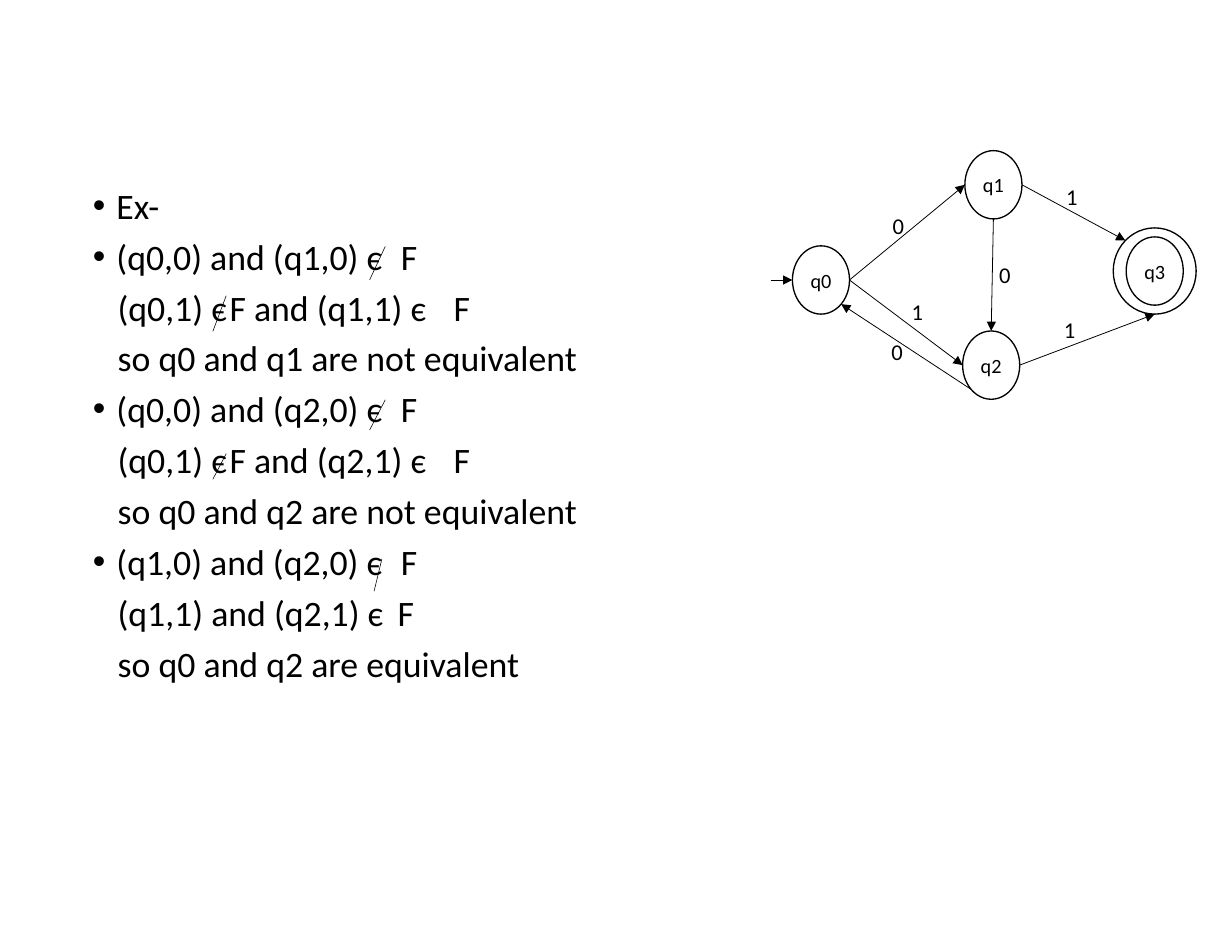
from math import cos, radians, sin
from pptx import Presentation
from pptx.dml.color import RGBColor
from pptx.enum.shapes import MSO_CONNECTOR, MSO_SHAPE
from pptx.enum.text import MSO_ANCHOR, MSO_AUTO_SIZE, PP_ALIGN
from pptx.oxml.ns import qn
from pptx.util import Inches, Pt
from lxml.etree import SubElement

BLACK = RGBColor(0, 0, 0)
FONT = "Calibri"


def write(para, text, size=13, color=BLACK, align=PP_ALIGN.LEFT, before=0):
    para.alignment = align
    para.space_before = Pt(before)
    run = para.add_run()
    run.text = text
    run.font.name = FONT
    run.font.size = Pt(size)
    run.font.color.rgb = color


def frame(shape, anchor=MSO_ANCHOR.TOP, wrap=True):
    body = shape.text_frame
    body.margin_left = body.margin_right = 0
    body.margin_top = body.margin_bottom = 0
    body.auto_size = MSO_AUTO_SIZE.NONE
    body.word_wrap = wrap
    body.vertical_anchor = anchor
    return body


def indent(para, bullet, tabs):
    props = para._p.get_or_add_pPr()
    props.set("marL", str(Inches(0.22 if bullet else 0.23)))
    props.set("indent", str(Inches(-0.21 if bullet else 0)))
    if not bullet:
        SubElement(props, qn("a:buNone"))
    if tabs:
        stops = SubElement(props, qn("a:tabLst"))
        for stop in tabs:
            SubElement(stops, qn("a:tab"), pos=str(Inches(stop)), algn="l")


def line(slide, start, end, width=0.5, arrow=False):
    link = slide.shapes.add_connector(
        MSO_CONNECTOR.STRAIGHT, *(Inches(v) for v in (*start, *end)))
    link.line.color.rgb = BLACK
    link.line.width = Pt(width)
    props = link._element.spPr
    if arrow:
        SubElement(props.find(qn("a:ln")), qn("a:tailEnd"), type="triangle")
    SubElement(props, qn("a:effectLst"))


def proof(slide, box):
    left, top, width, height = box
    holder = slide.placeholders[1]
    holder.left, holder.top = Inches(left), Inches(top)
    holder.width, holder.height = Inches(width), Inches(height)
    body = frame(holder)
    wide, split = (0.22, 2.76), (1.36, 3.28)
    rows = [
        ("Ex-", True, (0.22,)),
        ("(q0,0) and (q1,0) є\tF", True, wide),
        ("(q0,1) є\tF and (q1,1) є\tF", False, split),
        ("so q0 and q1 are not equivalent", False, ()),
        ("(q0,0) and (q2,0) є\tF", True, wide),
        ("(q0,1) є\tF and (q2,1) є\tF", False, split),
        ("so q0 and q2 are not equivalent", False, ()),
        ("(q1,0) and (q2,0) є\tF", True, wide),
        ("(q1,1) and (q2,1) є\tF", False, (2.77,)),
        ("so q0 and q2 are equivalent", False, ()),
    ]
    for i, (text, bullet, tabs) in enumerate(rows):
        para = body.add_paragraph() if i else body.paragraphs[0]
        write(para, text, size=23, before=5.1 if i else 0)
        indent(para, bullet, tabs)
    strokes = [(2.48, 0.56, 0.14, 0.3), (1.08, 1, 0.12, 0.32),
               (2.48, 1.93, 0.14, 0.27), (1.08, 2.41, 0.12, 0.23),
               (2.52, 3.35, 0.07, 0.29)]
    for x, y, w, h in strokes:
        line(slide, (left + x, top + y + h), (left + x + w, top + y), 0.36)


def state(slide, mid, size, name=""):
    (x, y), (w, h) = mid, size
    oval = slide.shapes.add_shape(
        MSO_SHAPE.OVAL, Inches(x - w / 2), Inches(y - h / 2), Inches(w), Inches(h))
    oval.shadow.inherit = False
    oval.fill.background()
    oval.line.color.rgb = BLACK
    oval.line.width = Pt(0.84)
    if name:
        body = frame(oval, MSO_ANCHOR.MIDDLE, wrap=False)
        write(body.paragraphs[0], name, align=PP_ALIGN.CENTER)


def rim(mid, size, angle):
    turn = radians(angle)
    return (mid[0] + size[0] / 2 * cos(turn), mid[1] + size[1] / 2 * sin(turn))


def label(slide, spot, text):
    note = slide.shapes.add_textbox(
        Inches(spot[0]), Inches(spot[1]), Inches(0.13), Inches(0.26))
    write(frame(note, wrap=False).paragraphs[0], text, size=14.5)


def graph(slide, box):
    left, top = box[:2]
    small, large = (0.51, 0.61), (0.74, 0.77)
    mids = {"q0": (0.45, 1.15), "q1": (1.99, 0.3),
            "q2": (1.97, 1.91), "q3": (3.43, 1.07)}
    mids = {name: (left + x, top + y) for name, (x, y) in mids.items()}
    state(slide, mids["q3"], large)
    for name, mid in mids.items():
        state(slide, mid, small, name)
    edges = [("q0", 0, "q1", 180, "0", (1.09, 0.54)),
             ("q0", 0, "q2", 180, "1", (1.26, 1.31)),
             ("q2", 135, "q0", 45, "0", (1.08, 1.67)),
             ("q1", 90, "q2", 270, "0", (2.04, 0.98)),
             ("q1", 0, "q3", 225, "1", (2.64, 0.28)),
             ("q2", 0, "q3", 90, "1", (2.62, 1.47))]
    for src, out, dest, into, text, (x, y) in edges:
        size = large if dest == "q3" else small
        line(slide, rim(mids[src], small, out), rim(mids[dest], size, into), arrow=True)
        label(slide, (left + x, top + y), text)
    line(slide, (left, mids["q0"][1]), rim(mids["q0"], small, 180), arrow=True)


def main():
    deck = Presentation()
    deck.slide_width, deck.slide_height = Inches(11), Inches(8.5)
    slide = deck.slides.add_slide(deck.slide_layouts[1])
    title = slide.shapes.title._element
    title.getparent().remove(title)
    proof(slide, (0.82, 1.64, 4.6, 4.65))
    graph(slide, (6.88, 1.35, 3.8, 2.22))
    deck.save("out.pptx")


if __name__ == "__main__":
    main()
